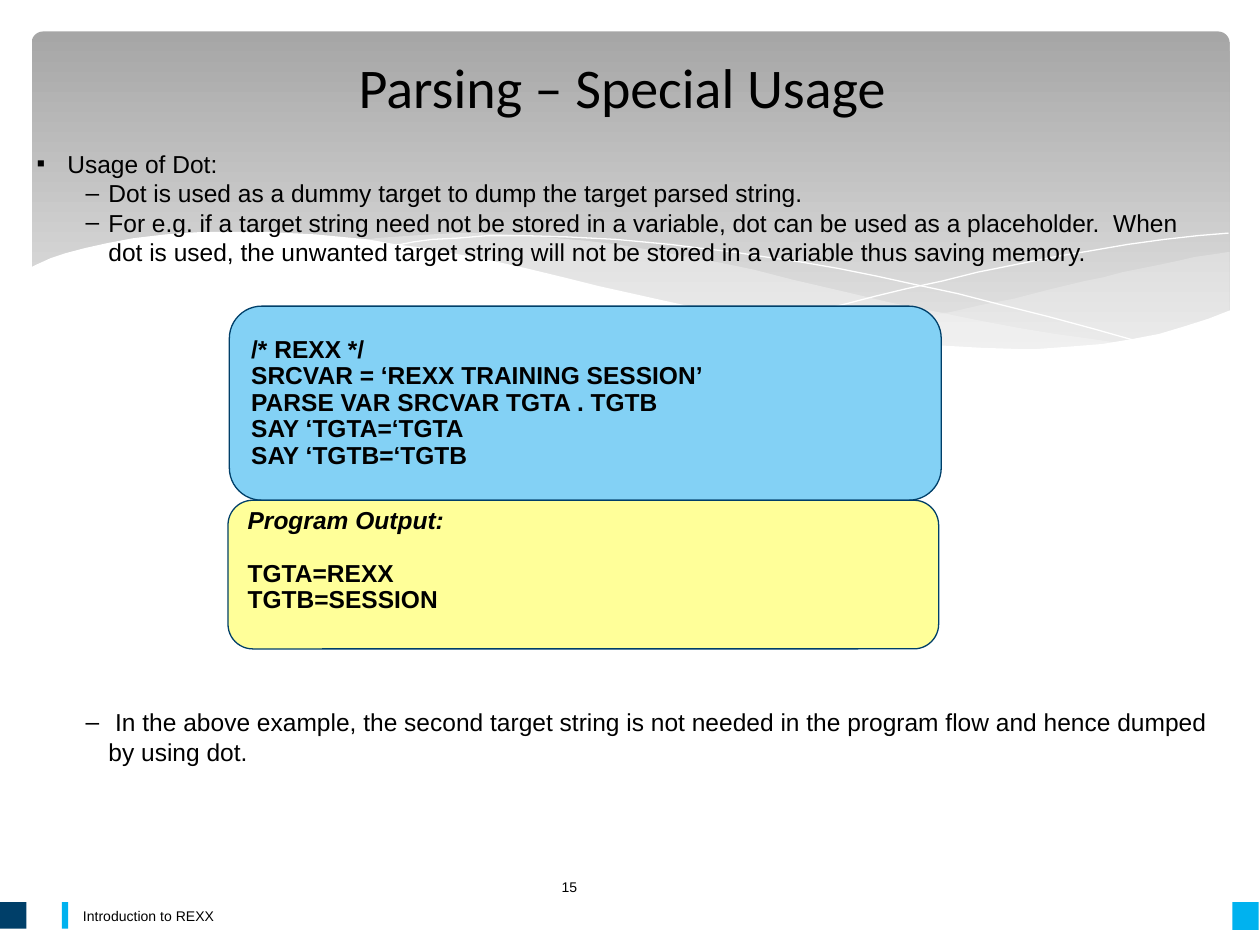
from dataclasses import dataclass

from lxml import etree
from pptx import Presentation
from pptx import util as u
from pptx.dml.color import RGBColor
from pptx.enum import shapes, text
from pptx.oxml.ns import qn

PX = 9144


@dataclass(frozen=True)
class Theme:
    ink: str = "000000"
    white: str = "FFFFFF"
    mist: str = "F8F8F8"
    panel_top: str = "A6A6A6"
    panel_bottom: str = "EBEBEB"
    navy: str = "003F69"
    cyan: str = "00B2EF"
    code: str = "83D1F5"
    output: str = "FFFF99"
    heading_font: str = "Calibri"
    text_font: str = "Arial"
    title_pt: int = 32
    body_pt: int = 14
    footer_pt: int = 8


THEME = Theme()

RIGHT_WAVE = [
    (975, 200), (962, 202), (948, 204), (935, 207), (921, 210), (906, 213), (891, 216),
    (876, 220), (861, 223), (832, 230), (805, 237), (779, 242), (753, 248), (729, 253),
    (706, 257), (683, 262), (661, 265), (676, 267), (691, 269), (705, 271), (718, 273),
    (732, 274), (745, 275), (757, 276), (769, 277), (792, 277), (814, 278), (835, 277),
    (854, 276), (872, 274), (889, 272), (905, 269), (921, 265), (935, 262), (949, 257),
    (963, 252), (976, 247), (976, 200),
]
MIDDLE_WAVE = [
    (893, 273), (866, 269), (837, 265), (807, 260), (775, 254), (741, 247), (706, 240),
    (668, 231), (629, 222), (598, 214), (569, 208), (541, 203), (514, 198), (489, 194),
    (464, 191), (441, 189), (420, 187), (399, 186), (380, 185), (361, 185), (344, 186),
    (328, 187), (313, 188), (299, 189), (286, 191), (304, 194), (323, 196), (342, 199),
    (362, 203), (383, 207), (404, 211), (427, 216), (449, 222), (491, 232), (530, 240),
    (566, 248), (601, 255), (634, 261), (665, 266), (695, 270), (722, 274), (748, 276),
    (773, 278), (796, 279), (818, 279), (838, 278), (857, 277), (876, 275),
]
FALLING_LINE = [
    (309, 195), (318, 194), (328, 192), (343, 190), (363, 189), (387, 187), (416, 187),
    (450, 188), (489, 190), (532, 194), (556, 197), (582, 200), (608, 204), (636, 208),
    (665, 213), (695, 219), (727, 226), (760, 233), (795, 242), (831, 251), (868, 261),
    (907, 272),
]
RISING_LINE = [
    (613, 257), (624, 254), (652, 246), (672, 241), (695, 235), (720, 229), (748, 223),
    (776, 216), (806, 210), (836, 204), (866, 199), (895, 194), (924, 190), (951, 187),
    (975, 185),
]
WHITE_WAVE = [
    (977, 246), (959, 253), (940, 259), (920, 265), (899, 269), (875, 273), (850, 275),
    (823, 277), (809, 277), (778, 276), (744, 274), (708, 270), (668, 265), (626, 258),
    (579, 250), (529, 239), (475, 227), (447, 220), (418, 213), (391, 207), (365, 202),
    (339, 197), (315, 194), (292, 190), (271, 188), (250, 186), (230, 185), (211, 184),
    (161, 184), (132, 186), (106, 189), (85, 193), (67, 197), (52, 201), (40, 205),
    (29, 210), (23, 213), (23, 329), (977, 329),
]


def rgb(color):
    return RGBColor.from_string(color)


def place(shape, box):
    shape.left, shape.top, shape.width, shape.height = (u.Emu(v * PX) for v in box)


def paint(shape, color, edge=None):
    shape.shadow.inherit = False
    if color:
        shape.fill.solid()
        shape.fill.fore_color.rgb = rgb(color)
    else:
        shape.fill.background()
    if edge is None:
        shape.line.fill.background()
    else:
        edge_color, points = edge
        shape.line.color.rgb = rgb(edge_color)
        shape.line.width = u.Pt(points)


def style(font, size, name=THEME.text_font, bold=False, italic=False):
    font.name, font.size, font.bold, font.italic = name, u.Pt(size), bold, italic
    font.color.rgb = rgb(THEME.ink)


def add_block(slide, kind, box, color, edge=None):
    block = slide.shapes.add_shape(kind, *(u.Emu(v * PX) for v in box))
    paint(block, color, edge)
    return block


def add_path(slide, origin, points, color=None, edge=None, opacity=None):
    left, top = origin
    moved = [(left + x, top + y) for x, y in points]
    builder = slide.shapes.build_freeform(*moved[0], scale=PX)
    builder.add_line_segments(moved[1:], close=color is not None)
    wave = builder.convert_to_shape()
    paint(wave, color, edge)
    if opacity:
        tint = wave._element.spPr.find(qn("a:solidFill"))[0]
        etree.SubElement(tint, qn("a:alpha"), val=str(opacity * 1000))


def draw_backdrop(slide, box):
    left, top, width, _ = box
    panel = add_block(slide, shapes.MSO_SHAPE.ROUNDED_RECTANGLE,
                      (left + 25, top + 25, width - 49, 270), THEME.panel_top)
    panel.adjustments[0] = 0.034
    panel.fill.gradient()
    panel.fill.gradient_angle = 270
    for stop, color in zip(panel.fill.gradient_stops, (THEME.panel_top, THEME.panel_bottom)):
        stop.color.rgb = rgb(color)
        stop.position = float(color == THEME.panel_bottom)
    origin = (left, top)
    add_path(slide, origin, RIGHT_WAVE, THEME.mist, opacity=29)
    add_path(slide, origin, MIDDLE_WAVE, THEME.mist, opacity=40)
    for points in (FALLING_LINE, RISING_LINE):
        add_path(slide, origin, points, edge=(THEME.white, 0))
    add_path(slide, origin, WHITE_WAVE, THEME.white)


def add_caption(slide, box, words):
    caption = slide.shapes.add_textbox(*(u.Emu(v * PX) for v in box)).text_frame
    caption.word_wrap = True
    caption.vertical_anchor = text.MSO_ANCHOR.MIDDLE
    caption.text = words
    style(caption.paragraphs[0].font, THEME.footer_pt)


def draw_footer(slide, box):
    left, top, width, _ = box
    add_caption(slide, (left + 56, top + 30, 779, 26), "Introduction to REXX")
    for x, w, h, color in ((0, 21, 21, THEME.navy), (width - 22, 21, 22, THEME.cyan),
                           (49, 5, 21, THEME.cyan)):
        add_block(slide, shapes.MSO_SHAPE.RECTANGLE, (left + x, top + 32, w, h), color)
    add_caption(slide, (left + 436, top, 127, 40), "15")


def bring_forward(slide, placeholder, box):
    slide.shapes._spTree.append(placeholder._element)
    place(placeholder, box)
    frame = placeholder.text_frame
    frame.auto_size = text.MSO_AUTO_SIZE.NONE
    frame.word_wrap = True
    return frame


def draw_title(slide, box):
    heading = bring_forward(slide, slide.shapes.title, box)
    heading.vertical_anchor = text.MSO_ANCHOR.MIDDLE
    heading.text = "Parsing – Special Usage"
    heading.paragraphs[0].alignment = text.PP_ALIGN.CENTER
    style(heading.paragraphs[0].font, THEME.title_pt, THEME.heading_font)


def draw_notes_on_dot(slide, box):
    usage = bring_forward(slide, slide.placeholders[1], box)
    usage.vertical_anchor = text.MSO_ANCHOR.TOP
    points = (
        (0, 0, " Usage of Dot:"),
        (1, 0, "Dot is used as a dummy target to dump the target parsed string."),
        (1, 0, "For e.g. if a target string need not be stored in a variable, dot can be used "
               "as a placeholder.  When dot is used, the unwanted target string will not be "
               "stored in a variable thus saving memory."),
        (1, 252, " In the above example, the second target string is not needed in the program "
                 "flow and hence dumped by using dot."),
    )
    usage.text = "\n".join(words for _, _, words in points)
    for point, (level, before, _) in zip(usage.paragraphs, points):
        point.level = level
        margin, indent, mark = ((19, -19, "▪"), (57, -18, "–"))[level]
        props = point._p.get_or_add_pPr()
        props.set("marL", str(margin * PX))
        props.set("indent", str(indent * PX))
        tint = etree.SubElement(props, qn("a:buClr"))
        etree.SubElement(tint, qn("a:srgbClr"), val=THEME.ink)
        etree.SubElement(props, qn("a:buFont"), typeface=THEME.text_font)
        etree.SubElement(props, qn("a:buChar"), char=mark)
        point.space_before = u.Pt(before)
        style(point.font, THEME.body_pt)


def draw_listing(slide, box, color, lines, captioned=False):
    card = add_block(slide, shapes.MSO_SHAPE.FLOWCHART_ALTERNATE_PROCESS, box, color,
                     (THEME.navy, 0.75))
    frame = card.text_frame
    frame.word_wrap = True
    frame.vertical_anchor = text.MSO_ANCHOR.MIDDLE
    frame.text = "\n".join(lines)
    for number, line in enumerate(frame.paragraphs):
        line.alignment = text.PP_ALIGN.LEFT
        line.line_spacing = 0.9
        style(line.font, THEME.body_pt, bold=True, italic=captioned and number == 0)
    if captioned:
        frame.paragraphs[1].space_before = u.Pt(15)
        frame.margin_bottom = u.Emu(26 * PX)


def main():
    deck = Presentation()
    deck.slide_width, deck.slide_height = u.Emu(1000 * PX), u.Emu(750 * PX)
    slide = deck.slides.add_slide(deck.slide_layouts[1])
    draw_backdrop(slide, (0, 0, 1000, 330))
    draw_footer(slide, (0, 684, 1000, 66))
    draw_title(slide, (44, 0, 900, 137))
    draw_notes_on_dot(slide, (19, 113, 950, 323))
    draw_listing(slide, (182, 243, 565, 154), THEME.code, (
        "/* REXX */", "SRCVAR = ‘REXX TRAINING SESSION’", "PARSE VAR SRCVAR TGTA . TGTB",
        "SAY ‘TGTA=‘TGTA", "SAY ‘TGTB=‘TGTB"))
    draw_listing(slide, (181, 397, 564, 118), THEME.output,
                 ("Program Output:", "TGTA=REXX", "TGTB=SESSION"), captioned=True)
    deck.save("out.pptx")


if __name__ == "__main__":
    main()
